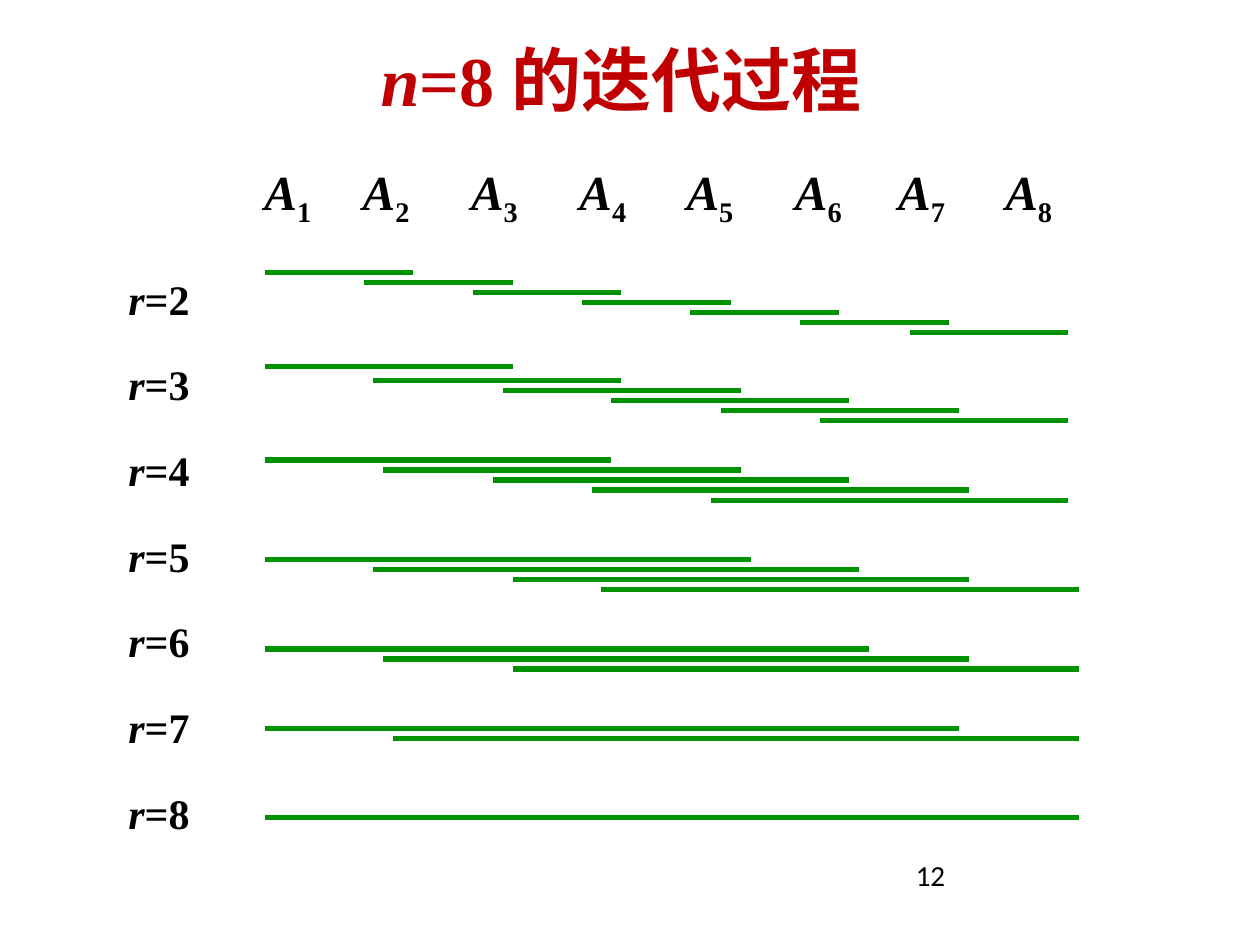
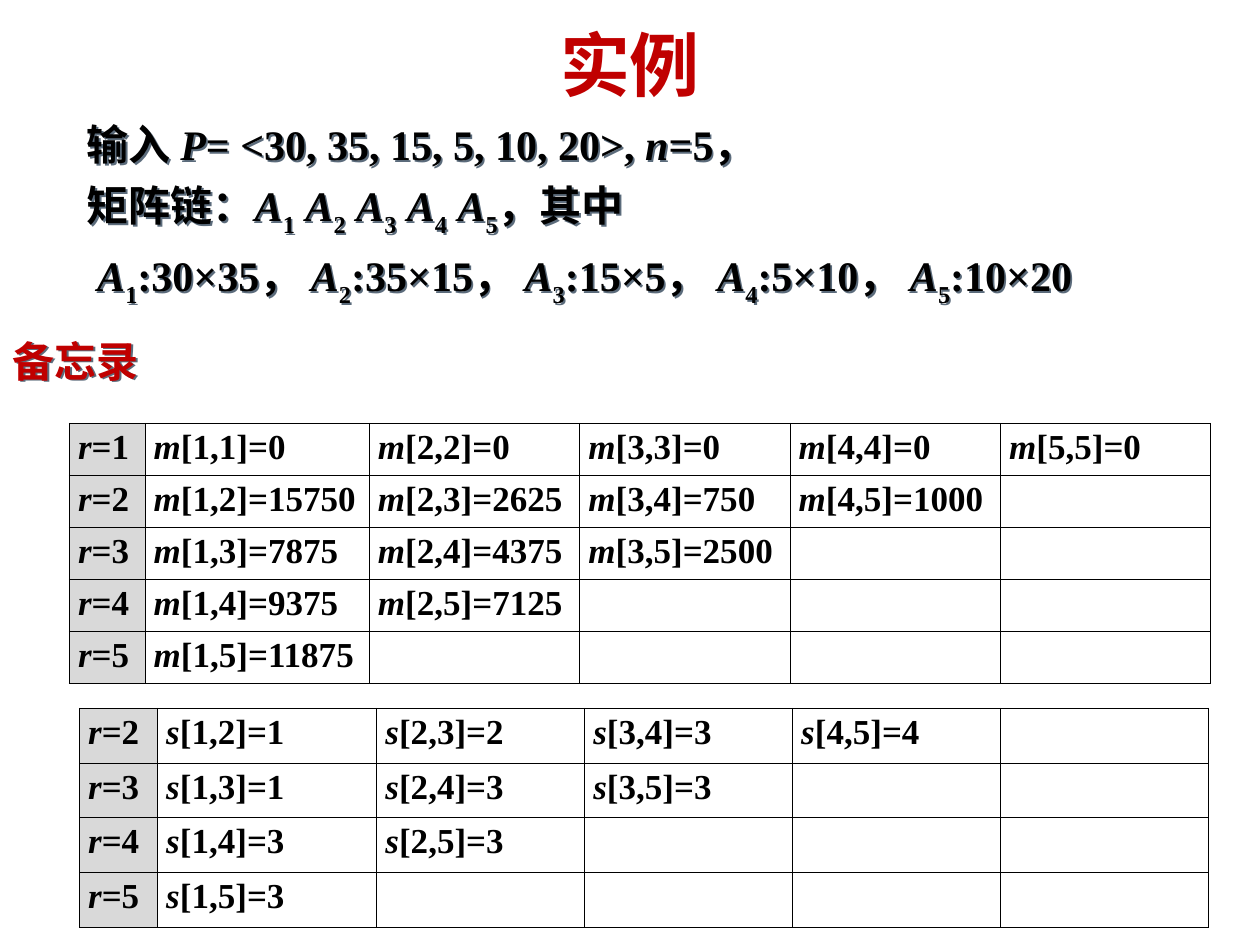
"""Build two slides on the matrix chain iteration: the subchains for n=8 and a worked memo table."""
from lxml import etree
from pptx import Presentation
from pptx.dml.color import RGBColor
from pptx.enum import shapes, text
from pptx.oxml import ns
from pptx.util import Inches, Pt

RED = RGBColor(0xC0, 0x00, 0x00)
GREEN = RGBColor(0x00, 0x92, 0x00)
BLACK = RGBColor(0x00, 0x00, 0x00)
GRAY = RGBColor(0xD9, 0xD9, 0xD9)
SHADOW = RGBColor(0x5B, 0x6B, 0x7B)
SERIF, SANS = "Times New Roman", "Calibri"
TITLE = dict(size=40, color=RED, align=text.PP_ALIGN.CENTER, anchor=text.MSO_ANCHOR.MIDDLE)


def write(frame, content, size=24, font=SERIF, color=BLACK, bold=True, align=text.PP_ALIGN.LEFT,
          line_spacing=None, space_before=0, tabs=(), subscript=-25):
    """Write lines in which *x* is italic and _x_ is a subscript."""
    for number, line in enumerate(content.split("\n")):
        paragraph = frame.add_paragraph() if number else frame.paragraphs[0]
        if tabs:
            tab_list = etree.SubElement(paragraph._p.get_or_add_pPr(), ns.qn("a:tabLst"))
            for position in tabs:
                etree.SubElement(tab_list, ns.qn("a:tab"), pos=str(Inches(position)), algn="l")
        paragraph.alignment = align
        if line_spacing:
            paragraph.line_spacing = line_spacing
        if number and space_before:
            paragraph.space_before = Pt(space_before)
        for i, part in enumerate(line.split("*")):
            for j, piece in enumerate(part.split("_")):
                if not piece:
                    continue
                run = paragraph.add_run()
                run.text = piece
                run.font.size, run.font.name, run.font.bold = Pt(size), font, bold
                run.font.italic = i % 2 == 1
                run.font.color.rgb = color
                if j % 2:
                    run._r.get_or_add_rPr().set("baseline", str(subscript * 1000))


def add_text(slide, at, content, anchor=text.MSO_ANCHOR.TOP, shadow=False, **style):
    box = slide.shapes.add_textbox(*map(Inches, at))
    box.text_frame.word_wrap = True
    box.text_frame.vertical_anchor = anchor
    write(box.text_frame, content, **style)
    if shadow:
        effects = etree.SubElement(box._element.spPr, ns.qn("a:effectLst"))
        outer = etree.SubElement(effects, ns.qn("a:outerShdw"), dist="17961", dir="2700000")
        etree.SubElement(outer, ns.qn("a:srgbClr"), val=str(SHADOW))


presentation = Presentation()
presentation.slide_width, presentation.slide_height = Inches(10), Inches(7.5)
blank = presentation.slide_layouts[6]

slide = presentation.slides.add_slide(blank)
add_text(slide, (0.43, 0, 9, 1.25), "*n*=8 的迭代过程", **TITLE)
add_text(slide, (0.99, 1.23, 7.71, 0.63), "".join(f"\t*A*_{i}_" for i in range(1, 9)), size=28,
         tabs=(1.01, 1.79, 2.65, 3.51, 4.36, 5.22, 6.04, 6.89))
add_text(slide, (0.92, 1.84, 0.87, 4.86), "\n".join(f"*r*={r}" for r in range(2, 9)), line_spacing=1.7)
add_text(slide, (7.17, 6.79, 2.33, 0.4), "12", size=16.6, font=SANS, bold=False, line_spacing=0.9)

subchain_step = 0.08
subchains = [
    (2.16, [(2.1, 3.28), (2.89, 4.07), (3.75, 4.93), (4.62, 5.8), (5.48, 6.66), (6.35, 7.53), (7.22, 8.48)]),
    (2.91, [(2.1, 4.07)]),
    (3.02, [(2.96, 4.93), (3.99, 5.88), (4.85, 6.74), (5.72, 7.61), (6.51, 8.48)]),
    (3.65, [(2.1, 4.85), (3.04, 5.88), (3.91, 6.74), (4.7, 7.69), (5.64, 8.48)]),
    (4.44, [(2.1, 5.96), (2.96, 6.82), (4.07, 7.69), (4.77, 8.56)]),
    (5.15, [(2.1, 6.9), (3.04, 7.69), (4.07, 8.56)]),
    (5.78, [(2.1, 7.61), (3.12, 8.56)]),
    (6.49, [(2.1, 8.56)]),
]
for top, spans in subchains:
    for i, (start, end) in enumerate(spans):
        y = Inches(top + i * subchain_step)
        line = slide.shapes.add_connector(shapes.MSO_CONNECTOR.STRAIGHT, Inches(start), y, Inches(end), y)
        line.line.color.rgb = GREEN
        line.line.width = Pt(3)
        etree.SubElement(line._element.spPr, ns.qn("a:effectLst"))

slide = presentation.slides.add_slide(blank)
add_text(slide, (0.5, 0.16, 9, 0.69), "实例", font=SANS, **TITLE)
chain = " ".join(f"*A*_{i}_" for i in range(1, 6))
sizes = ["30×35", "35×15", "15×5", "5×10", "10×20"]
dimensions = "，".join(f" *A*_{i}_:{size}" for i, size in enumerate(sizes, 1))
add_text(slide, (0.59, 0.89, 8.8, 1.61),
         f"输入 *P*= <30, 35, 15, 5, 10, 20>, *n*=5，\n矩阵链：{chain}，其中\n{dimensions}",
         anchor=text.MSO_ANCHOR.MIDDLE, shadow=True, space_before=6, subscript=-30)
add_text(slide, (0, 2.61, 3.75, 0.5), "备忘录", color=RED, anchor=text.MSO_ANCHOR.MIDDLE, shadow=True)

memos = [
    ("m", 1, (0.55, 3.36, 9.06, 2.05), [0.6, 1.78] + [1.67] * 4,
     [[0] * 5, [15750, 2625, 750, 1000], [7875, 4375, 2500], [9375, 7125], [11875]]),
    ("s", 2, (0.63, 5.62, 8.96, 1.74), [0.62, 1.74] + [1.65] * 4,
     [[1, 2, 3, 4], [1, 3, 3], [3, 3], [3]]),
]
for name, first_length, at, widths, rows in memos:
    table = slide.shapes.add_table(len(rows), len(widths), *map(Inches, at)).table
    table.first_row = table.horz_banding = False
    for column, width in zip(table.columns, widths):
        column.width = Inches(width)
    for row, (length, values) in enumerate(enumerate(rows, first_length)):
        entries = [f"*{name}*[{i},{i + length - 1}]={value}" for i, value in enumerate(values, 1)]
        labels = [f"*r*={length}"] + entries
        for column in range(len(widths)):
            cell = table.cell(row, column)
            cell.margin_left = cell.margin_right = Inches(0.07)
            cell.margin_top = cell.margin_bottom = Inches(0.04)
            for side in "LRTB":
                border = etree.SubElement(cell._tc.get_or_add_tcPr(), ns.qn(f"a:ln{side}"), w=str(Pt(0.45)))
                fill = etree.SubElement(border, ns.qn("a:solidFill"))
                etree.SubElement(fill, ns.qn("a:srgbClr"), val=str(BLACK))
            if column == 0:
                cell.fill.solid()
                cell.fill.fore_color.rgb = GRAY
            else:
                cell.fill.background()
            if column < len(labels):
                write(cell.text_frame, labels[column], size=20, align=text.PP_ALIGN.JUSTIFY)

presentation.save("out.pptx")
